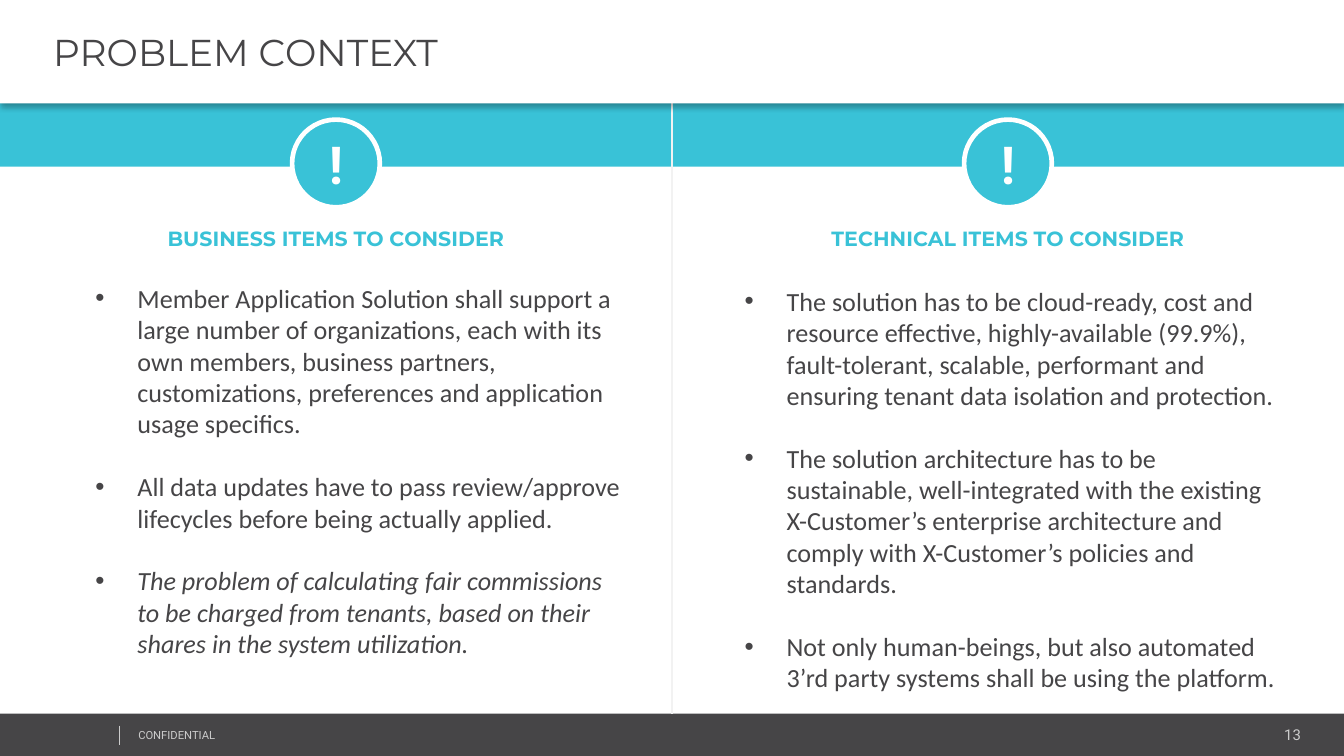
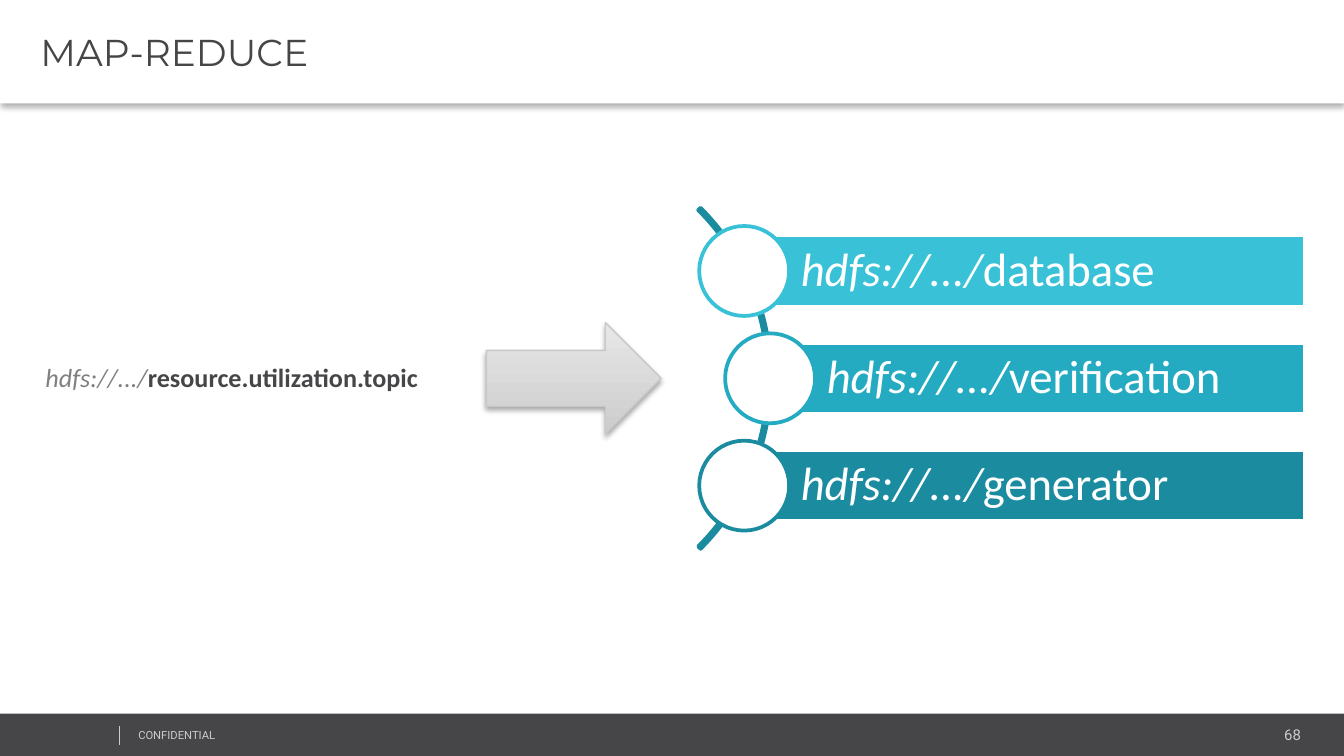
from pptx import Presentation
from pptx.dml.color import RGBColor
from pptx.enum.shapes import MSO_CONNECTOR as Link, MSO_SHAPE as Kind
from pptx.enum.text import MSO_ANCHOR as Anchor, MSO_AUTO_SIZE as Auto, PP_ALIGN as Align
from pptx.oxml.ns import qn
from pptx.util import Pt
from lxml.etree import SubElement

# Content
HEX = {
    "white": "FFFFFF", "dark": "464547", "cyan": "39C2D7", "sea": "24ABC2",
    "deep": "1B8BA0", "pale": "CCCCCC", "rule": "F2F2F2", "grey": "808080",
    "edge": "C8C8C8", "light": "E7E7E7", "black": "000000",
}
WIDE, HIGH = 720, 405
TITLE_H, FOOT_Y = 55.4, 382.3

CONTEXT = {"title": "PROBLEM CONTEXT", "page": "13", "inset": 28.5}
COLUMNS = [
    ("BUSINESS ITEMS TO CONSIDER", (43.9, 147.6, 298.1, 257), [
        "Member Application Solution shall support a large number of organizations, "
        "each with its own members, business partners, customizations, preferences "
        "and application usage specifics.",
        "All data updates have to pass review/approve lifecycles before being "
        "actually applied.",
        [("The problem of calculating fair commissions to be charged from tenants, "
          "based on their shares in the system utilization.", {"italic": True})],
    ]),
    ("TECHNICAL ITEMS TO CONSIDER", (391.7, 149.2, 304.6, 227.5), [
        "The solution has to be cloud-ready, cost and resource effective, "
        "highly-available (99.9%), fault-tolerant, scalable, performant and "
        "ensuring tenant data isolation and protection.",
        "The solution architecture has to be sustainable, well-integrated with the "
        "existing X-Customer’s enterprise architecture and comply with "
        "X-Customer’s policies and standards.",
        "Not only human-beings, but also automated 3’rd party systems shall be "
        "using the platform.",
    ]),
]

REDUCE = {"title": "MAP-REDUCE", "page": "68", "inset": 21.6}
ROOT = ("hdfs://.../", {"italic": True})
INPUT = "resource.utilization.topic"
OUTPUTS = [("database", "cyan", 398.7), ("verification", "sea", 412.6),
           ("generator", "deep", 398.7)]


# Helpers
def rgb(name):
    return RGBColor.from_string(HEX[name])


def place(shape, box):
    shape.left, shape.top, shape.width, shape.height = map(Pt, box)


def paint(shape, fill=None, line=None, width=1):
    shape.shadow.inherit = False
    if fill:
        shape.fill.solid()
        shape.fill.fore_color.rgb = rgb(fill)
    else:
        shape.fill.background()
    if line:
        shape.line.color.rgb = rgb(line)
        shape.line.width = Pt(width)
    else:
        shape.line.fill.background()
    return shape


def draw(slide, kind, box, **look):
    return paint(slide.shapes.add_shape(kind, *map(Pt, box)), **look)


def label(slide, box, paras, **form):
    write(slide.shapes.add_textbox(*map(Pt, box)), paras, **form)


def shade(shape, alpha, blur, dist):
    shape.shadow.inherit = False
    effects = shape.element.spPr.find(qn("a:effectLst"))
    outer = SubElement(effects, qn("a:outerShdw"), blurRad=str(Pt(blur)),
                       dist=str(Pt(dist)), dir="5400000", algn="t", rotWithShape="0")
    tint = SubElement(outer, qn("a:srgbClr"), val=HEX["black"])
    SubElement(tint, qn("a:alpha"), val=str(alpha * 1000))


def rule(slide, x, top, end, color, width):
    line = slide.shapes.add_connector(Link.STRAIGHT, Pt(x), Pt(top), Pt(x), Pt(end))
    line.line.color.rgb = rgb(color)
    line.line.width = Pt(width)
    SubElement(line.element.spPr, qn("a:effectLst"))
    return line


def write(shape, paras, font="Calibri", size=14, color="dark", bold=False,
          align=Align.LEFT, anchor=Anchor.TOP, inset=(7.2, 3.6, 7.2, 3.6),
          bullet=None, gap=0, lead=None):
    """Each paragraph is a string or a list of (text, font overrides)."""
    frame = shape.text_frame
    frame.word_wrap, frame.auto_size = True, Auto.NONE
    frame.vertical_anchor = anchor
    (frame.margin_left, frame.margin_top,
     frame.margin_right, frame.margin_bottom) = map(Pt, inset)
    for i, runs in enumerate(paras):
        para = frame.add_paragraph() if i else frame.paragraphs[0]
        para.alignment = align
        para.space_before, para.space_after = Pt(gap if i else 0), Pt(0)
        if lead:
            para.line_spacing = lead
        if bullet:
            props = para._p.get_or_add_pPr()
            props.set("marL", str(Pt(22.5)))
            props.set("indent", str(-Pt(22.5)))
            SubElement(props, qn("a:buFont"), typeface="Arial")
            SubElement(props, qn("a:buChar"), char=bullet)
        for text, extra in ([(runs, {})] if isinstance(runs, str) else runs):
            look = {"bold": bold, "italic": False, "color": color} | extra
            run = para.add_run()
            run.text = text
            run.font.name, run.font.size = font, Pt(size)
            run.font.bold, run.font.italic = look["bold"], look["italic"]
            run.font.color.rgb = rgb(look["color"])


def head(slide, info):
    """Title strip, in front of what is drawn so far."""
    title = slide.shapes.title
    place(title, (0, 0, WIDE, TITLE_H))
    paint(title, fill="white")
    shade(title, 30, 3.1, 2)
    write(title, [info["title"]], font="Montserrat", size=20, anchor=Anchor.MIDDLE,
          inset=(info["inset"], 3, 5, 3))
    title.element.getparent().append(title.element)


def foot(slide, info):
    bar = draw(slide, Kind.RECTANGLE, (0, FOOT_Y, WIDE, HIGH - FOOT_Y), fill="dark")
    small = {"font": "Roboto", "color": "pale", "inset": (5, 2.9, 5, 2.9)}
    label(slide, (584.6, 385.9, 117.4, 15.1), [info["page"]], size=8,
          align=Align.RIGHT, **small)
    label(slide, (69.1, 387.4, 182.2, 13), ["CONFIDENTIAL"], size=6, **small)
    rule(slide, 64.1, 388.8, 398.9, "pale", 0.25)
    return bar


# Slides
def context(deck):
    slide = deck.slides.add_slide(deck.slide_layouts[4])
    bar = foot(slide, CONTEXT)
    band = draw(slide, Kind.RECTANGLE, (0, 54.7, WIDE, 34.6), fill="cyan")
    split = rule(slide, WIDE / 2, 54.7, FOOT_Y, "rule", 1.5)
    split.begin_connect(band, 0)
    split.end_connect(bar, 0)
    head(slide, CONTEXT)

    holders = {h.placeholder_format.idx: h for h in slide.placeholders}
    for i, (name, box, items) in enumerate(COLUMNS):
        mid = WIDE * (2 * i + 1) / 4
        badge = draw(slide, Kind.OVAL, (mid - 23.5, 64.1, 47, 47),
                     fill="cyan", line="white", width=2.5)
        write(badge, ["!"], font="Roboto", size=28, color="white", bold=True,
              align=Align.CENTER, anchor=Anchor.MIDDLE, inset=(0, 0, 0, 0))
        top, body = holders[2 * i + 1], holders[2 * i + 2]
        place(top, (mid - 117, 117.4, 234, 20.9))
        write(top, [name], font="Montserrat", size=11, color="cyan", bold=True,
              align=Align.CENTER)
        place(body, box)
        write(body, items, bullet="•", gap=16.8)


def reduce(deck):
    slide = deck.slides.add_slide(deck.slide_layouts[5])
    foot(slide, REDUCE)
    head(slide, REDUCE)
    label(slide, (17.3, 190.1, 225.4, 24.5),
          [[(ROOT[0], {"italic": True, "color": "grey"}), (INPUT, {"bold": True})]])

    # Arc with one bar and circle for each output
    axis, step, tall, disc, right = 202.7, 57.5, 38.2, 48.2, 699.2
    arc = draw(slide, Kind.BLOCK_ARC, (154.8, axis - 129.2, 258.4, 258.4),
               line="deep", width=2)
    for i, value in enumerate((189, 27, 0.007)):
        arc.adjustments[i] = value
    for i, (name, color, left) in enumerate(OUTPUTS):
        mid = axis + (i - 1) * step
        bar = draw(slide, Kind.RECTANGLE, (left, mid - tall / 2, right - left, tall),
                   fill=color, line="white", width=2)
        write(bar, [[ROOT, (name, {})]], size=25, color="white", lead=0.9,
              anchor=Anchor.MIDDLE, inset=(30.3, 5, 5, 5))
        draw(slide, Kind.OVAL, (left - disc / 2, mid - disc / 2, disc, disc),
             fill="white", line=color, width=2)

    # Arrow from input to outputs
    arrow = draw(slide, Kind.RIGHT_ARROW, (260.6, 172.8, 93.6, 59.8),
                 line="edge", width=0.75)
    arrow.fill.gradient()
    arrow.fill.gradient_angle = 90
    for stop, color in zip(arrow.fill.gradient_stops, ("pale", "light")):
        stop.color.rgb = rgb(color)
    shade(arrow, 35, 3.1, 1.8)


def main():
    deck = Presentation()
    deck.slide_width, deck.slide_height = Pt(WIDE), Pt(HIGH)
    context(deck)
    reduce(deck)
    deck.save("out.pptx")


if __name__ == "__main__":
    main()
